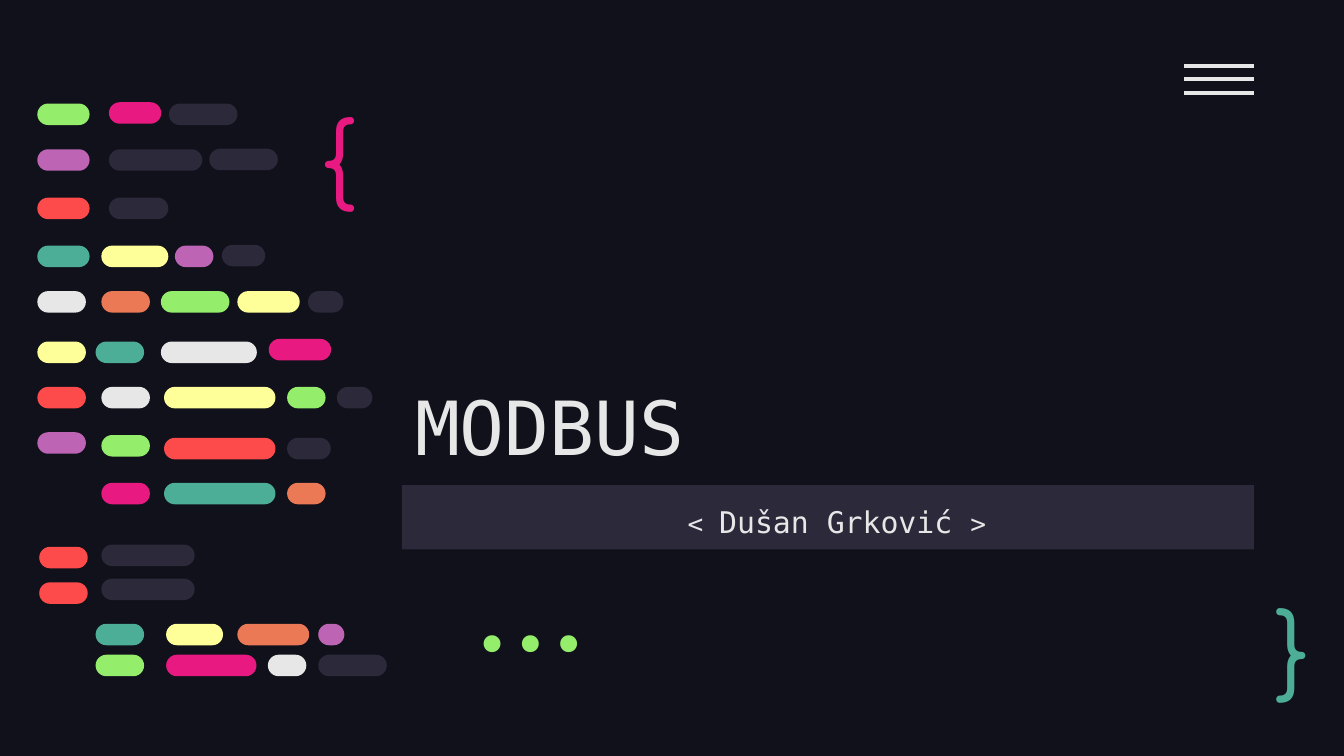
from lxml import etree
from pptx import Presentation
from pptx.dml.color import RGBColor
from pptx.enum.shapes import MSO_CONNECTOR, MSO_SHAPE
from pptx.enum.text import MSO_ANCHOR, PP_ALIGN
from pptx.oxml.ns import qn
from pptx.util import Pt

NIGHT = RGBColor(0x10, 0x11, 0x1A)
SLATE = RGBColor(0x2C, 0x29, 0x3A)
WHITE = RGBColor(0xE7, 0xE7, 0xE7)
GREEN = RGBColor(0x94, 0xEE, 0x6B)
PINK = RGBColor(0xE8, 0x1A, 0x81)
PURPLE = RGBColor(0xBD, 0x64, 0xB5)
RED = RGBColor(0xFD, 0x4A, 0x4A)
TEAL = RGBColor(0x4C, 0xAE, 0x97)
YELLOW = RGBColor(0xFF, 0xFF, 0x99)
ORANGE = RGBColor(0xEC, 0x79, 0x55)

RECT, PILL = MSO_SHAPE.RECTANGLE, MSO_SHAPE.ROUNDED_RECTANGLE
LINE = MSO_CONNECTOR.STRAIGHT
TOP, MIDDLE, BOTTOM = MSO_ANCHOR.TOP, MSO_ANCHOR.MIDDLE, MSO_ANCHOR.BOTTOM
LEFT, CENTER, RIGHT = PP_ALIGN.LEFT, PP_ALIGN.CENTER, PP_ALIGN.RIGHT

MONO, ROUND, CODE = "DejaVu Sans Mono", "Comfortaa", "Fira Code"
BAR_H = 11.5

# Each row: top, then bars of (left, width, colour, optional shift down)
ROWS = [
    (0.5, [(0, 28, GREEN), (38.4, 28, PINK, -0.7), (70.5, 36.7, SLATE)]),
    (25, [(0, 28, PURPLE), (38.4, 50, SLATE), (92.1, 36.7, SLATE, -0.3)]),
    (50.9, [(0, 28, RED), (38.4, 31.8, SLATE)]),
    (76.6, [(0, 28, TEAL), (34.3, 35.9, YELLOW), (73.7, 20.6, PURPLE),
            (98.9, 23.2, SLATE, -0.4)]),
    (101, [(0, 26, WHITE), (34.3, 26, ORANGE), (66.2, 36.7, GREEN),
           (107.2, 33.4, YELLOW), (145, 19, SLATE)]),
    (128, [(0, 26, YELLOW), (31.2, 26, TEAL), (66.2, 51.4, WHITE),
           (124, 33.4, PINK, -1.4)]),
    (152.3, [(0, 26, RED), (34.3, 26, WHITE), (67.9, 59.7, YELLOW),
             (133.8, 20.6, GREEN), (160.5, 19, SLATE)]),
    (176.6, [(0, 26, PURPLE), (34.3, 26, GREEN, 1.5), (67.9, 59.7, RED, 3),
             (133.8, 23.4, SLATE, 3)]),
    (203.7, [(34.3, 26, PINK), (67.9, 59.7, TEAL), (133.8, 20.6, ORANGE)]),
    (238, [(1, 26, RED), (34.3, 50, SLATE, -1.2)]),
    (257, [(1, 26, RED), (34.3, 50, SLATE, -2)]),
    (279.2, [(31.2, 26, TEAL), (69, 30.5, YELLOW), (107.2, 38.5, ORANGE),
             (150.5, 14, PURPLE)]),
    (295.8, [(31.2, 26, GREEN), (69, 48.4, PINK), (123.5, 20.6, WHITE),
             (150.5, 36.7, SLATE)]),
]


def add_box(slide, kind, box, fill):
    shape = slide.shapes.add_shape(kind, *map(Pt, box))
    shape.shadow.inherit = False
    shape.fill.solid()
    shape.fill.fore_color.rgb = fill
    shape.line.fill.background()
    return shape


def add_text(slide, box, *runs, font=MONO, color=WHITE, align=LEFT,
             anchor=TOP, space=1.0, fill=None):
    """Write (text, size) runs in one paragraph, on a filled box if asked."""
    if fill is None:
        shape = slide.shapes.add_textbox(*map(Pt, box))
    else:
        shape = add_box(slide, RECT, box, fill)
    frame = shape.text_frame
    frame.word_wrap = True
    frame.vertical_anchor = anchor
    frame.margin_left = frame.margin_right = Pt(7.2)
    frame.margin_top = frame.margin_bottom = Pt(7.2)
    para = frame.paragraphs[0]
    para.alignment = align
    para.line_spacing = space
    for text, size in runs:
        run = para.add_run()
        run.text = text
        run.font.name = font
        run.font.size = Pt(size)
        run.font.color.rgb = color


def add_heading(slide, left, top, width, height):
    band = 34.4
    upper = height - band
    add_text(slide, (left, top, width, upper), ("MODBUS", 40),
             anchor=BOTTOM, space=0.9)
    add_text(slide, (left, top + upper, width, band),
             (" ", 16), ("< ", 14), ("Dušan Grković ", 16), (">", 14),
             align=CENTER, space=1.15, fill=SLATE)


def add_menu(slide, left, top, width, height):
    for i in range(3):
        y = Pt(top + i * height / 2)
        line = slide.shapes.add_connector(LINE, Pt(left), y,
                                          Pt(left + width), y)
        line.line.color.rgb = WHITE
        line.line.width = Pt(2.25)
        etree.SubElement(line._element.spPr, qn("a:effectLst"))


def add_code(slide, left, top):
    """Draw the rows of coloured bars that suggest lines of code."""
    for y, bars in ROWS:
        for x, width, color, *shift in bars:
            box = (left + x, top + y + sum(shift), width, BAR_H)
            add_box(slide, PILL, box, color).adjustments[0] = 0.5


def add_marks(slide):
    add_text(slide, (164.9, 44.6, 55.4, 68.4), ("{", 50),
             font=ROUND, color=PINK)
    add_text(slide, (676, 315.4, 41, 59.8), ("}", 50),
             font=ROUND, color=TEAL, anchor=MIDDLE)
    add_text(slide, (223.9, 323.3, 113.8, 43.2), ("...", 50),
             font=CODE, color=GREEN, align=RIGHT, anchor=BOTTOM)


def main():
    deck = Presentation()
    deck.slide_width, deck.slide_height = Pt(720), Pt(405)
    slide = deck.slides.add_slide(deck.slide_layouts[6])
    slide.background.fill.solid()
    slide.background.fill.fore_color.rgb = NIGHT
    add_heading(slide, 215.3, 99.4, 456.5, 194.9)
    add_marks(slide)
    add_menu(slide, 634.5, 35.3, 37.3, 14.4)
    add_code(slide, 20, 55)
    deck.save("out.pptx")


if __name__ == "__main__":
    main()
